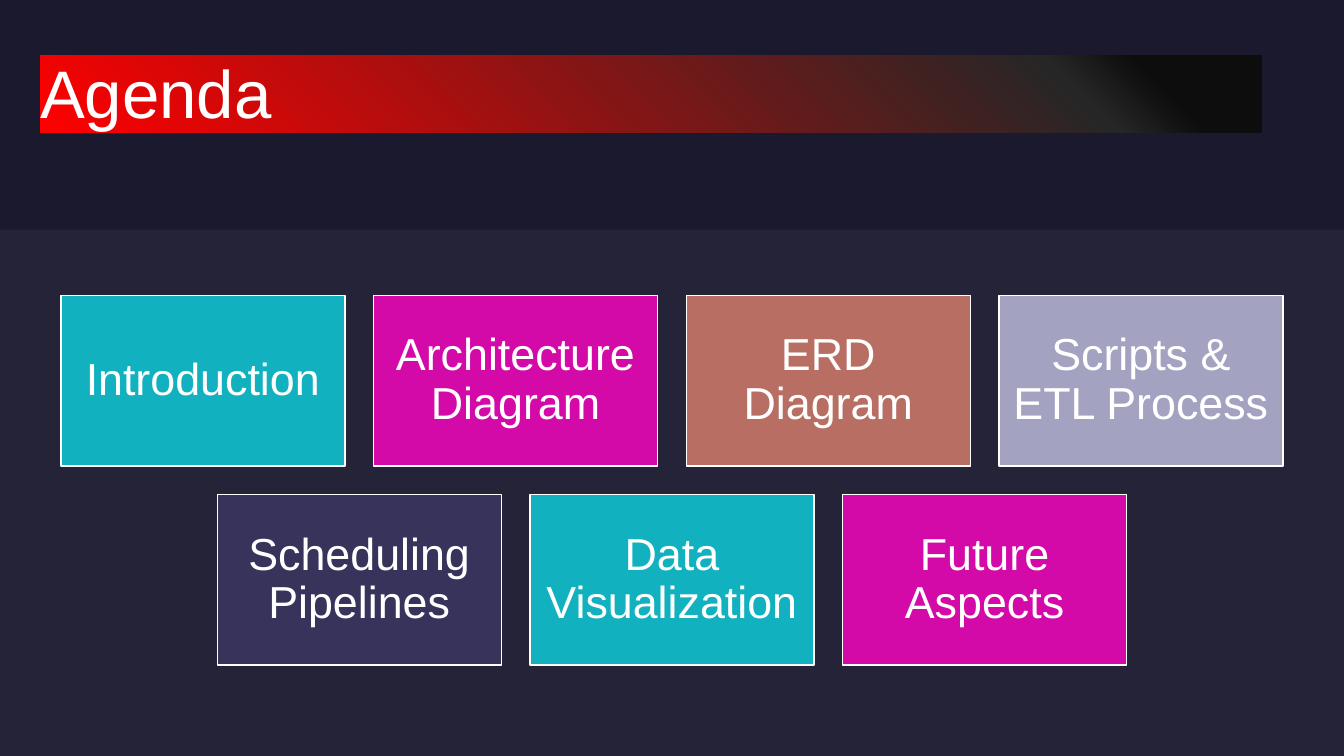
import pptx
import pptx.util
import pptx.dml.color
import pptx.enum.shapes
import pptx.enum.text
import pptx.oxml
import pptx.oxml.ns
from lxml import etree

Cm, Pt = pptx.util.Cm, pptx.util.Pt
RGB = pptx.dml.color.RGBColor.from_string
ALIGN, ANCHOR = pptx.enum.text.PP_ALIGN, pptx.enum.text.MSO_ANCHOR
RECTANGLE = pptx.enum.shapes.MSO_SHAPE.RECTANGLE
COLOURS = {
    "night": "1B192E", "mist": "E4E3F0", "white": "FFFFFF", "teal": "12B1BF",
    "magenta": "D40AA8", "clay": "B86E62", "lavender": "A3A3C1", "indigo": "37335B",
    "red": "FF0000", "charcoal": "262626", "black": "0D0D0D",
}
SLIDE_WIDTH, SLIDE_HEIGHT = 33.87, 19.05


def write_text(shape, text, size, align, anchor, inset, space_after):
    frame = shape.text_frame
    frame.text = text
    frame.word_wrap = True
    frame.auto_size = pptx.enum.text.MSO_AUTO_SIZE.NONE
    frame.vertical_anchor = anchor
    frame.margin_left = frame.margin_right = Cm(inset)
    frame.margin_top = frame.margin_bottom = Cm(inset)
    paragraph = frame.paragraphs[0]
    paragraph.alignment = align
    paragraph.line_spacing = 0.9
    paragraph.space_before = Pt(0)
    paragraph.space_after = Pt(space_after)
    paragraph.font.name = "Arial"
    paragraph.font.size = Pt(size)
    paragraph.font.color.rgb = RGB(COLOURS["white"])


def add_rectangle(left, top, width, height, colour):
    shape = slide.shapes.add_shape(RECTANGLE, Cm(left), Cm(top), Cm(width), Cm(height))
    shape.shadow.inherit = False
    shape.fill.solid()
    shape.fill.fore_color.rgb = RGB(COLOURS[colour])
    shape.line.fill.background()
    return shape


deck = pptx.Presentation()
deck.slide_width, deck.slide_height = Cm(SLIDE_WIDTH), Cm(SLIDE_HEIGHT)
slide = deck.slides.add_slide(deck.slide_layouts[5])
slide.background.fill.solid()
slide.background.fill.fore_color.rgb = RGB(COLOURS["night"])

# Title bar with a gradient spreading from its bottom left corner
agenda = slide.shapes.title
agenda.left, agenda.top, agenda.width, agenda.height = Cm(1.01), Cm(1.39), Cm(30.8), Cm(1.96)
write_text(agenda, "Agenda", size=48, align=ALIGN.LEFT, anchor=ANCHOR.BOTTOM,
           inset=0, space_after=6)
agenda.fill.gradient()
gradient = agenda.element.spPr.find(pptx.oxml.ns.qn("a:gradFill"))
stops = "".join(
    f'<a:gs pos="{percent * 1000}"><a:srgbClr val="{COLOURS[colour]}"/></a:gs>'
    for percent, colour in [(0, "red"), (83, "charcoal"), (90, "black"), (100, "black")])
spread = pptx.oxml.parse_xml(
    f'<a:gradFill {pptx.oxml.ns.nsdecls("a")} rotWithShape="1"><a:gsLst>{stops}</a:gsLst>'
    '<a:path path="circle"><a:fillToRect t="100000" r="100000"/></a:path></a:gradFill>')
gradient.getparent().replace(gradient, spread)

# Pale band behind the tiles
BAND_TOP = 5.79
band = add_rectangle(0, BAND_TOP, SLIDE_WIDTH, SLIDE_HEIGHT - BAND_TOP, "mist")
band_colour = band.element.spPr.find(".//" + pptx.oxml.ns.qn("a:srgbClr"))
etree.SubElement(band_colour, pptx.oxml.ns.qn("a:alpha"), val="5000")

# Topic tiles, each row centred on the slide
TILE_WIDTH, TILE_HEIGHT, GAP, TILES_TOP = 7.16, 4.3, 0.72, 7.44
topic_rows = [
    [("Introduction", "teal"), ("Architecture Diagram", "magenta"),
     ("ERD Diagram", "clay"), ("Scripts & ETL Process", "lavender")],
    [("Scheduling Pipelines", "indigo"), ("Data Visualization", "teal"),
     ("Future Aspects", "magenta")],
]
for row, topics in enumerate(topic_rows):
    row_width = len(topics) * (TILE_WIDTH + GAP) - GAP
    row_left = (SLIDE_WIDTH - row_width) / 2
    for column, (topic, colour) in enumerate(topics):
        tile = add_rectangle(row_left + column * (TILE_WIDTH + GAP),
                             TILES_TOP + row * (TILE_HEIGHT + GAP),
                             TILE_WIDTH, TILE_HEIGHT, colour)
        tile.line.color.rgb = RGB(COLOURS["white"])
        tile.line.width = Pt(1)
        write_text(tile, topic, size=32, align=ALIGN.CENTER, anchor=ANCHOR.MIDDLE,
                   inset=0.34, space_after=0)

deck.save("out.pptx")
